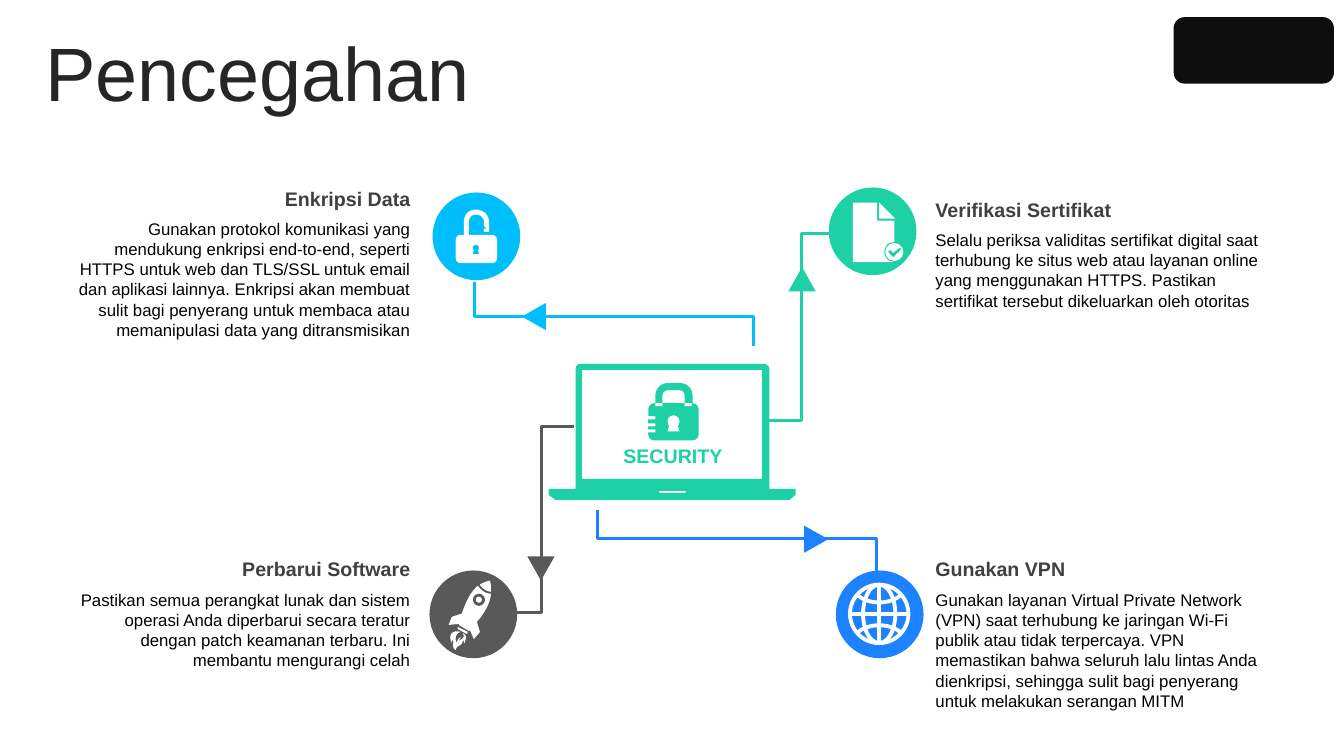
from pptx import Presentation
from pptx.dml.color import RGBColor
from pptx.enum.shapes import MSO_SHAPE as SHAPE
from pptx.enum.text import MSO_ANCHOR as ANCHOR, MSO_AUTO_SIZE as AUTO, PP_ALIGN as ALIGN
from pptx.util import Inches, Pt

COLORS = {"green": "1ED0A6", "cyan": "00BDFB", "blue": "1C82FF", "gray": "595959",
          "title": "262626", "heading": "404040", "body": "000000",
          "badge": "0D0D0D", "white": "FFFFFF"}

# Heading, text, left, heading top, text top, text height, alignment
TOPICS = [
    ("Enkripsi Data",
     "Gunakan protokol komunikasi yang mendukung enkripsi end-to-end, seperti HTTPS untuk web "
     "dan TLS/SSL untuk email dan aplikasi lainnya. Enkripsi akan membuat sulit bagi penyerang "
     "untuk membaca atau memanipulasi data yang ditransmisikan",
     0.67, 1.81, 2.12, 1.31, ALIGN.RIGHT),
    ("Verifikasi Sertifikat",
     "Selalu periksa validitas sertifikat digital saat terhubung ke situs web atau layanan "
     "online yang menggunakan HTTPS. Pastikan sertifikat tersebut dikeluarkan oleh otoritas",
     9.18, 1.91, 2.23, 0.91, ALIGN.LEFT),
    ("Perbarui Software",
     "Pastikan semua perangkat lunak dan sistem operasi Anda diperbarui secara teratur dengan "
     "patch keamanan terbaru. Ini membantu mengurangi celah",
     0.67, 5.48, 5.8, 0.91, ALIGN.RIGHT),
    ("Gunakan VPN",
     "Gunakan layanan Virtual Private Network (VPN) saat terhubung ke jaringan Wi-Fi publik "
     "atau tidak terpercaya. VPN memastikan bahwa seluruh lalu lintas Anda dienkripsi, "
     "sehingga sulit bagi penyerang untuk melakukan serangan MITM",
     9.18, 5.48, 5.8, 1.31, ALIGN.LEFT),
]

# Colour, elbow points, arrowhead left and top, arrowhead rotation, circle left and top
BRANCHES = [
    ("gray", [(5.69, 4.23), (5.37, 4.23), (5.37, 6.08), (5.1, 6.08)], (5.23, 5.52), 180, (4.26, 5.66)),
    ("green", [(7.63, 4.17), (7.95, 4.17), (7.95, 2.32), (8.22, 2.32)], (7.82, 2.65), 0, (8.22, 1.86)),
    ("blue", [(5.93, 5.06), (5.93, 5.34), (8.69, 5.34), (8.69, 5.69)], (7.96, 5.23), 90, (8.29, 5.66)),
    ("cyan", [(7.47, 3.43), (7.47, 3.14), (4.71, 3.14), (4.71, 2.8)], (5.16, 3.02), 270, (4.29, 1.91)),
]


def rgb(name):
    return RGBColor.from_string(COLORS[name])


def paint(sp, fill=None, line=None, width=2.25):
    sp.shadow.inherit = False
    if fill:
        sp.fill.solid()
        sp.fill.fore_color.rgb = rgb(fill)
    else:
        sp.fill.background()
    if line:
        sp.line.color.rgb = rgb(line)
        sp.line.width = Pt(width)
    else:
        sp.line.fill.background()
    return sp


def preset(s, kind, x, y, w, h, fill=None, line=None, width=2.25):
    sp = s.shapes.add_shape(kind, Inches(x), Inches(y), Inches(w), Inches(h))
    return paint(sp, fill, line, width)


def disc(s, cx, cy, r, color):
    preset(s, SHAPE.OVAL, cx - r, cy - r, 2 * r, 2 * r, color)


def flatten(contour, steps=10):
    """Turn (x, y) corners and six-number Bezier curves into plain points."""
    points = []
    for item in contour:
        if len(item) == 2:
            points.append(item)
            continue
        p0, p1, p2, p3 = points[-1], item[:2], item[2:4], item[4:]
        for i in range(1, steps + 1):
            t = i / steps
            points.append(tuple((1 - t) ** 3 * a + 3 * t * (1 - t) ** 2 * b
                                + 3 * t * t * (1 - t) * c + t ** 3 * d
                                for a, b, c, d in zip(p0, p1, p2, p3)))
    return [(Inches(x), Inches(y)) for x, y in points]


def outline(s, contours, fill=None, line=None, width=2.25):
    """Draw filled closed contours, or an open line when there is no fill."""
    paths = [flatten(c) for c in contours]
    fb = s.shapes.build_freeform(*paths[0][0])
    for i, points in enumerate(paths):
        if i:
            fb.move_to(*points[0])
        fb.add_line_segments(points[1:], close=bool(fill))
    return paint(fb.convert_to_shape(), fill, line, width)


def write(tf, text, size, color, bold=False, align=ALIGN.LEFT):
    tf.word_wrap = True
    tf.auto_size = AUTO.NONE
    p = tf.paragraphs[0]
    p.alignment = align
    r = p.add_run()
    r.text = text
    r.font.name = "Arial"
    r.font.size = Pt(size)
    r.font.bold = bold
    r.font.color.rgb = rgb(color)
    return p


def label(s, x, y, w, h, *text):
    write(s.shapes.add_textbox(Inches(x), Inches(y), Inches(w), Inches(h)).text_frame, *text)


def title(s):
    sp = s.shapes.title
    sp.left, sp.top, sp.width, sp.height = Inches(0.35), Inches(0.37), Inches(12.66), Inches(0.79)
    sp.text_frame.vertical_anchor = ANCHOR.MIDDLE
    write(sp.text_frame, "Pencegahan", 54, "title").line_spacing = 0.9


def branch(s, color, elbow, head, turn, circle):
    outline(s, [elbow], line=color)
    preset(s, SHAPE.ISOSCELES_TRIANGLE, *head, 0.27, 0.24, color).rotation = turn
    preset(s, SHAPE.OVAL, *circle, 0.87, 0.87, color)


def keyhole(s, cx, cy, r, drop, color):
    disc(s, cx, cy, r, color)
    outline(s, [[(cx - r / 2, cy), (cx + r / 2, cy), (cx + r, cy + drop), (cx - r, cy + drop)]], color)


def laptop(s):
    outline(s, [
        [(6.54, 4.87), (6.54, 4.89), (6.8, 4.89), (6.8, 4.87)],
        [(5.77, 3.67), (5.77, 4.75), (7.56, 4.75), (7.56, 3.67)],
        [(5.76, 3.61), (7.57, 3.61), (7.6, 3.61, 7.63, 3.63, 7.63, 3.66), (7.63, 4.85),
         (7.89, 4.85), (7.89, 4.91), (7.83, 4.96), (5.51, 4.96), (5.44, 4.91), (5.44, 4.85),
         (5.71, 4.85), (5.71, 3.66), (5.71, 3.63, 5.73, 3.61, 5.76, 3.61)]], "green")
    # Padlock on the screen
    outline(s, [[(6.5, 4.03), (6.5, 3.93), (6.5, 3.85, 6.56, 3.8, 6.63, 3.8), (6.74, 3.8),
                 (6.81, 3.8, 6.87, 3.85, 6.87, 3.93), (6.87, 4.03), (6.79, 4.03), (6.79, 3.93),
                 (6.79, 3.89, 6.77, 3.87, 6.72, 3.87), (6.64, 3.87),
                 (6.6, 3.87, 6.57, 3.89, 6.57, 3.93), (6.57, 4.03)]], "green")
    preset(s, SHAPE.ROUNDED_RECTANGLE, 6.43, 4, 0.5, 0.37, "green")
    for x in (6.5, 6.79):
        preset(s, SHAPE.RECTANGLE, x, 4, 0.07, 0.03, "white")
    for y in (4.13, 4.2, 4.26):
        preset(s, SHAPE.ROUNDED_RECTANGLE, 6.42, y, 0.08, 0.03, "white")
    keyhole(s, 6.68, 4.18, 0.06, 0.1, "white")
    label(s, 5.96, 4.36, 1.43, 0.34, "SECURITY", 14, "green", True, ALIGN.CENTER)


def open_lock(s):
    outline(s, [[(4.6, 2.35), (4.6, 2.2), (4.6, 2.13, 4.65, 2.08, 4.72, 2.08),
                 (4.79, 2.08, 4.85, 2.13, 4.85, 2.2), (4.85, 2.3), (4.8, 2.3), (4.8, 2.27),
                 (4.83, 2.27), (4.8, 2.24), (4.8, 2.2), (4.8, 2.16, 4.76, 2.13, 4.72, 2.13),
                 (4.68, 2.13, 4.65, 2.16, 4.65, 2.2), (4.65, 2.35)]], "white")
    preset(s, SHAPE.ROUNDED_RECTANGLE, 4.52, 2.33, 0.41, 0.28, "white")
    keyhole(s, 4.72, 2.46, 0.03, 0.06, "cyan")


def certificate(s):
    outline(s, [[(8.46, 2.01), (8.7, 2.01), (8.7, 2.19), (8.87, 2.19), (8.87, 2.6), (8.46, 2.6)],
                [(8.72, 2.01), (8.88, 2.17), (8.72, 2.17)]], "white")
    disc(s, 8.87, 2.5, 0.1, "green")
    disc(s, 8.87, 2.5, 0.09, "white")
    outline(s, [[(8.92, 2.46), (8.86, 2.51), (8.83, 2.48), (8.81, 2.5), (8.86, 2.55), (8.94, 2.47)]], "green")


def globe(s):
    cx, cy, r = 8.72, 6.09, 0.29
    for rx in (r, 0.16):
        preset(s, SHAPE.OVAL, cx - rx, cy - r, 2 * rx, 2 * r, line="white", width=2.75)
    arcs = [[(cx - 0.21, cy + k * 0.18), (cx - 0.09, cy + k * 0.09, cx + 0.09, cy + k * 0.09,
                                         cx + 0.21, cy + k * 0.18)] for k in (-1, 1)]
    axes = [[(cx, cy - r), (cx, cy + r)], [(cx - r, cy), (cx + r, cy)]]
    outline(s, axes + arcs, line="white", width=2.75)


def rocket(s):
    outline(s, [
        # Flame and nozzle
        [(4.57, 6.27), (4.54, 6.27, 4.5, 6.32, 4.53, 6.38), (4.54, 6.34, 4.55, 6.33, 4.57, 6.32),
         (4.57, 6.33, 4.55, 6.34, 4.56, 6.36), (4.57, 6.33, 4.62, 6.34, 4.59, 6.28),
         (4.65, 6.32, 4.61, 6.34, 4.61, 6.38), (4.6, 6.38, 4.6, 6.34, 4.59, 6.36),
         (4.58, 6.42, 4.53, 6.39, 4.52, 6.45), (4.47, 6.42, 4.51, 6.37, 4.49, 6.35),
         (4.49, 6.34, 4.48, 6.35, 4.48, 6.38), (4.43, 6.27, 4.52, 6.25, 4.57, 6.27)],
        [(4.54, 6.22), (4.64, 6.27), (4.63, 6.29), (4.54, 6.24)],
        # Hull with fins, then nose
        [(4.74, 5.81), (4.77, 5.86, 4.82, 5.89, 4.87, 5.89), (4.86, 6, 4.79, 6.1, 4.73, 6.17),
         (4.76, 6.27), (4.7, 6.34), (4.66, 6.25), (4.65, 6.26), (4.55, 6.2), (4.55, 6.19),
         (4.45, 6.2), (4.48, 6.12), (4.57, 6.09), (4.58, 6.09), (4.61, 6, 4.65, 5.89, 4.74, 5.81)],
        [(4.86, 5.76), (4.87, 5.8, 4.87, 5.83, 4.87, 5.87), (4.83, 5.87, 4.78, 5.84, 4.76, 5.8),
         (4.79, 5.78, 4.82, 5.77, 4.86, 5.76)]], "white")
    disc(s, 4.75, 5.95, 0.06, "gray")
    disc(s, 4.75, 5.95, 0.03, "white")


def main():
    prs = Presentation()
    prs.slide_width, prs.slide_height = Inches(13.33), Inches(7.5)
    s = prs.slides.add_slide(prs.slide_layouts[5])
    title(s)
    preset(s, SHAPE.ROUNDED_RECTANGLE, 11.64, 0.17, 1.59, 0.66, "badge")

    # Branches from the laptop to the topics
    for item in BRANCHES:
        branch(s, *item)
    for icon in (laptop, open_lock, certificate, globe, rocket):
        icon(s)

    # Topic texts
    for heading, text, x, head_y, text_y, h, align in TOPICS:
        label(s, x, head_y, 3.5, 0.34, heading, 14, "heading", True, align)
        label(s, x, text_y, 3.5, h, text, 12, "body", False, align)
    prs.save("out.pptx")


if __name__ == "__main__":
    main()
